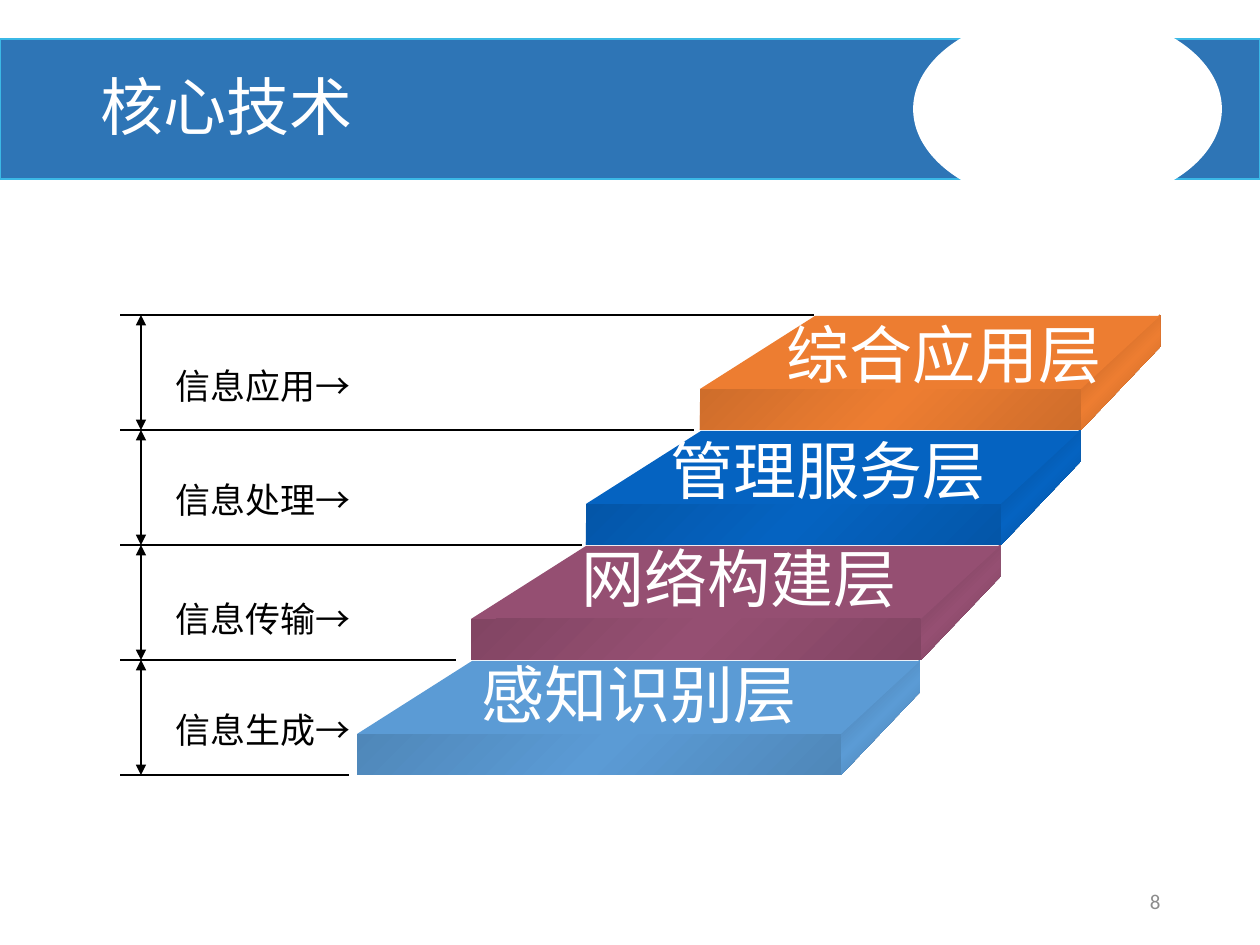
import copy

import pptx
import pptx.dml.color
import pptx.enum.shapes
import pptx.enum.text
import pptx.oxml
import pptx.oxml.ns
import pptx.util

RGBColor = pptx.dml.color.RGBColor
MSO_SHAPE = pptx.enum.shapes.MSO_SHAPE
PP_ALIGN = pptx.enum.text.PP_ALIGN
MSO_ANCHOR = pptx.enum.text.MSO_ANCHOR
qn = pptx.oxml.ns.qn

EMU_PER_PX = 914400 / 126
CJK_FONT = "Noto Sans CJK SC"

WHITE = RGBColor(0xFF, 0xFF, 0xFF)
BLACK = RGBColor(0x00, 0x00, 0x00)
GREY = RGBColor(0x8C, 0x8C, 0x8C)
BANNER_BLUE = RGBColor(0x2E, 0x75, 0xB6)
BANNER_EDGE = RGBColor(0x3B, 0xB8, 0xE6)
ORANGE = RGBColor(0xED, 0x7D, 0x31)
ORANGE_FRONT = RGBColor(0xCE, 0x6D, 0x2B)
ORANGE_SIDE = RGBColor(0xAA, 0x59, 0x23)
BLUE = RGBColor(0x05, 0x63, 0xC1)
BLUE_FRONT = RGBColor(0x04, 0x56, 0xA8)
BLUE_SIDE = RGBColor(0x04, 0x47, 0x8A)
PLUM = RGBColor(0x95, 0x4F, 0x72)
PLUM_FRONT = RGBColor(0x82, 0x45, 0x63)
PLUM_SIDE = RGBColor(0x6B, 0x39, 0x52)
SKY = RGBColor(0x5B, 0x9B, 0xD5)
SKY_FRONT = RGBColor(0x4F, 0x87, 0xB9)
SKY_SIDE = RGBColor(0x41, 0x6F, 0x98)

LAYERS = [
    ("综合应用层", 772, 309, "信息应用→", 358, ORANGE, ORANGE_FRONT, ORANGE_SIDE),
    ("管理服务层", 656, 425, "信息处理→", 472, BLUE, BLUE_FRONT, BLUE_SIDE),
    ("网络构建层", 567, 533, "信息传输→", 591, PLUM, PLUM_FRONT, PLUM_SIDE),
    ("感知识别层", 467, 649, "信息生成→", 702, SKY, SKY_FRONT, SKY_SIDE),
]
STACK_TOP = 315
PITCH = 115
FRONT_HEIGHT = 41
SIDE_HEIGHT = 32
TOP_SKEW = 115
SIDE_SKEW = 79
GUIDE_LEFT = 120
GUIDE_RIGHTS = [814, 694, 582, 456, 349]
ARROW_X = 141


def px(length):
    return pptx.util.Emu(round(length * EMU_PER_PX))


def add_block(slide, kind, left, top, width, height):
    block = slide.shapes.add_shape(kind, px(left), px(top), px(width), px(height))
    block.shadow.inherit = False
    block.line.fill.background()
    return block


def add_banner_part(slide, kind, box, color, edge):
    part = add_block(slide, kind, *box)
    part.fill.solid()
    part.fill.fore_color.rgb = color
    part.line.color.rgb = edge
    part.line.width = pptx.util.Pt(1)


def add_face(slide, corners):
    (start_x, start_y), *others = [(px(x), px(y)) for x, y in corners]
    outline = slide.shapes.build_freeform(start_x, start_y, scale=1.0)
    outline.add_line_segments(others, close=True)
    face = outline.convert_to_shape()
    face.shadow.inherit = False
    face.line.fill.background()
    return face


def shade(face, edge_color, middle_color):
    face.fill.gradient()
    face.fill.gradient_angle = 315
    stop_list = face._element.spPr.find(".//" + qn("a:gsLst"))
    stop_list.append(copy.deepcopy(stop_list[0]))
    colors = (edge_color, middle_color, edge_color)
    for stop, position, color in zip(face.fill.gradient_stops, (0, 0.5, 1), colors):
        stop.position = position
        stop.color.rgb = color


def add_slab(slide, index, color, front_color, side_color):
    left = 700 - round(114.4 * index)
    right = 1081 - 80 * index
    back = STACK_TOP + PITCH * index
    bottom = back + PITCH
    front = bottom - FRONT_HEIGHT
    far_right = right + SIDE_SKEW

    side = add_face(slide, [(far_right, back + SIDE_HEIGHT), (right, bottom),
                            (right, front), (far_right, back)])
    shade(side, side_color, color)
    top = add_face(slide, [(right, front), (left, front),
                           (left + TOP_SKEW, back + 1), (far_right, back + 1)])
    top.fill.solid()
    top.fill.fore_color.rgb = color
    front_face = add_block(slide, MSO_SHAPE.RECTANGLE, left, front,
                           right - left, FRONT_HEIGHT)
    shade(front_face, front_color, color)


def add_line(slide, x1, y1, x2, y2, arrows=False):
    line = slide.shapes.add_connector(pptx.enum.shapes.MSO_CONNECTOR.STRAIGHT,
                                      px(x1), px(y1), px(x2), px(y2))
    line.line.color.rgb = BLACK
    line.line.width = pptx.util.Pt(0.75)
    properties = line._element.spPr
    if arrows:
        for end in ("a:headEnd", "a:tailEnd"):
            pptx.oxml.xmlchemy.OxmlElement
            tip = properties.find(qn("a:ln")).makeelement(qn(end), {"type": "triangle"})
            properties.find(qn("a:ln")).append(tip)
    properties.append(properties.makeelement(qn("a:effectLst"), {}))


def add_text(slide, words, box, size, color, font=CJK_FONT, align=PP_ALIGN.LEFT,
             anchor=MSO_ANCHOR.TOP, wrap=False, spacing=None):
    frame = slide.shapes.add_textbox(*map(px, box)).text_frame
    frame.word_wrap = wrap
    frame.vertical_anchor = anchor
    paragraph = frame.paragraphs[0]
    paragraph.alignment = align
    paragraph.line_spacing = spacing
    run = paragraph.add_run()
    run.text = words
    run.font.size = pptx.util.Pt(size)
    run.font.name = font
    run.font.color.rgb = color
    properties = run.font._element
    east_asian = properties.makeelement(qn("a:ea"), {"typeface": font})
    properties.find(qn("a:latin")).addnext(east_asian)


def main():
    deck = pptx.Presentation()
    deck.slide_width = px(1260)
    deck.slide_height = px(945)
    slide = deck.slides.add_slide(deck.slide_layouts[6])

    add_banner_part(slide, MSO_SHAPE.RECTANGLE, (0, 39, 1260, 140),
                    BANNER_BLUE, BANNER_EDGE)
    add_banner_part(slide, MSO_SHAPE.OVAL, (914, 12, 307, 194), WHITE, WHITE)
    add_text(slide, "核心技术", (88, 41, 802, 138), 36, WHITE,
             anchor=MSO_ANCHOR.MIDDLE, wrap=True, spacing=0.9)
    add_text(slide, "8", (889, 876, 284, 50), 12, GREY, font="Calibri",
             align=PP_ALIGN.RIGHT, anchor=MSO_ANCHOR.MIDDLE, wrap=True)

    for index, guide_right in enumerate(GUIDE_RIGHTS):
        y = STACK_TOP + PITCH * index
        add_line(slide, guide_right, y, GUIDE_LEFT, y)

    for index, layer in reversed(list(enumerate(LAYERS))):
        _, _, _, role, role_top, *colors = layer
        y = STACK_TOP + PITCH * index
        add_line(slide, ARROW_X, y, ARROW_X, y + PITCH, arrows=True)
        add_text(slide, role, (163, role_top, 202, 55), 20, BLACK)
        add_slab(slide, index, *colors)

    for name, name_left, name_top, *_ in LAYERS:
        add_text(slide, name, (name_left, name_top, 344, 90), 36, WHITE,
                 align=PP_ALIGN.CENTER)

    deck.save("out.pptx")


if __name__ == "__main__":
    main()
